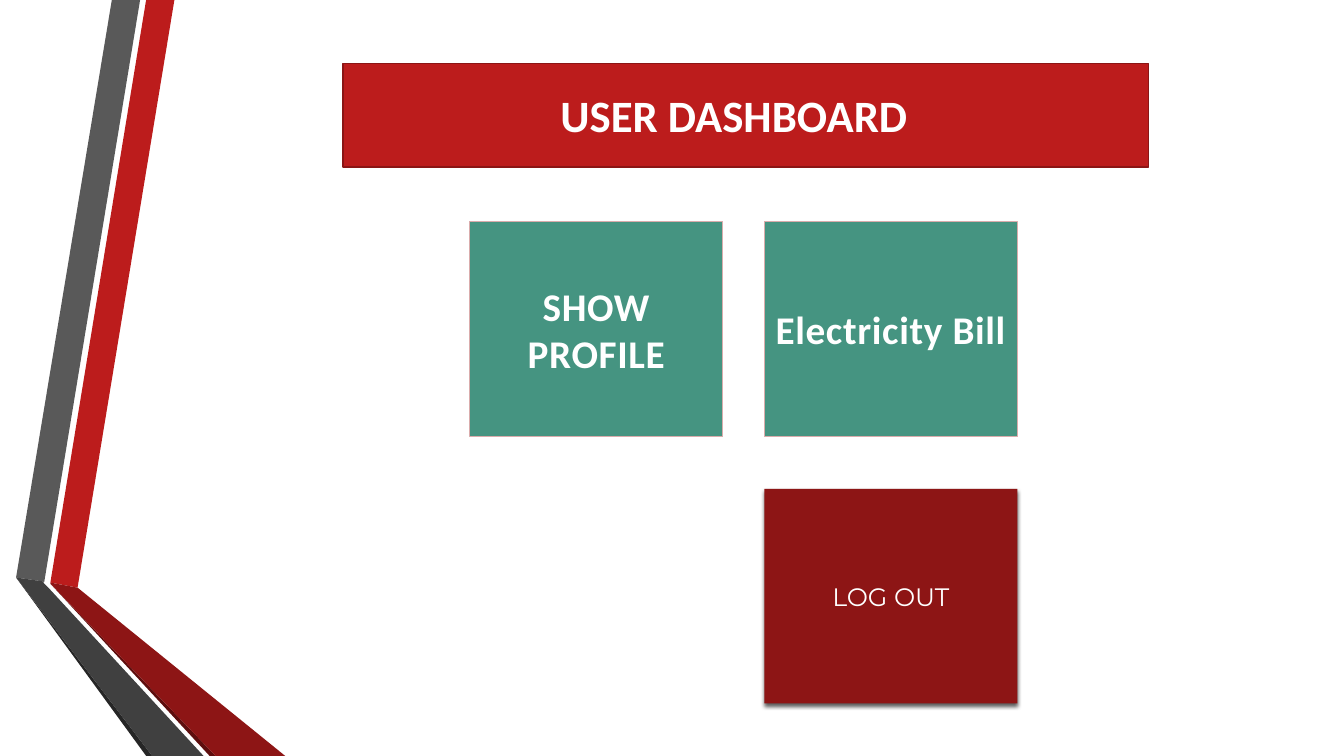
from dataclasses import dataclass

from lxml import etree
from pptx import Presentation
from pptx import util as u
from pptx.dml.color import RGBColor
from pptx.enum import shapes, text
from pptx.oxml import ns


@dataclass(frozen=True)
class Theme:
    red: str = "BC1C1C"
    dark_red: str = "8D1515"
    deep_red: str = "5E0E0E"
    banner_line: str = "8B1515"
    gray: str = "595959"
    dark_gray: str = "404040"
    deep_gray: str = "262626"
    green: str = "459481"
    tile_line: str = "DAACAC"
    white: str = "FFFFFF"
    black: str = "000000"
    heading_font: str = "Calibri"
    button_font: str = "Montserrat"
    title_size: int = 32
    tile_size: int = 28
    button_size: int = 18


THEME = Theme()


def paint(shape, fill, line=None, line_width=0.75):
    shape.shadow.inherit = False
    shape.fill.solid()
    shape.fill.fore_color.rgb = RGBColor.from_string(fill)
    if line:
        shape.line.color.rgb = RGBColor.from_string(line)
        shape.line.width = u.Pt(line_width)
    else:
        shape.line.fill.background()


def add_block(page, box, fill, line=None, line_width=0.75):
    block = page.shapes.add_shape(
        shapes.MSO_SHAPE.RECTANGLE, *(u.Inches(length) for length in box)
    )
    paint(block, fill, line, line_width)
    return block


def write(frame, words, font, size, bold, align, spacing=0):
    frame.word_wrap = True
    frame.vertical_anchor = text.MSO_ANCHOR.MIDDLE
    para = frame.paragraphs[0]
    para.alignment = align
    span = para.add_run()
    span.text = words
    span.font.name = font
    span.font.size = u.Pt(size)
    span.font.bold = bold
    span.font.color.rgb = RGBColor.from_string(THEME.white)
    if spacing:
        span.font._element.set("spc", str(int(spacing * 100)))


def drop_shadow(shape):
    effects = shape._element.spPr.find(ns.qn("a:effectLst"))
    shadow = etree.SubElement(
        effects, ns.qn("a:outerShdw"),
        blurRad=str(u.Pt(3)), dist=str(u.Pt(2)), dir="5400000",
        algn="ctr", rotWithShape="0",
    )
    color = etree.SubElement(shadow, ns.qn("a:srgbClr"), val=THEME.black)
    etree.SubElement(color, ns.qn("a:alpha"), val="64000")


def add_ribbons(page, box):
    left, top, width, height = box
    ribbons = [
        (THEME.red, [(0.5, 5.78), (0.77, 5.83), (1.73, 0), (1.45, 0)]),
        (THEME.gray, [(1.39, 0), (1.11, 0), (0.16, 5.73), (0.44, 5.77)]),
        (THEME.deep_gray, [(0.16, 5.73), (1.45, height), (1.51, height)]),
        (THEME.deep_red, [(0.5, 5.79), (2.08, height), (2.14, height)]),
        (THEME.dark_red, [(0.5, 5.79), (2.14, height), (width, height),
                          (0.77, 5.83), (0.5, 5.78)]),
        (THEME.dark_gray, [(2.02, height), (0.48, 5.83), (0.43, 5.78),
                           (0.44, 5.77), (0.16, 5.73), (1.51, height)]),
    ]
    for fill, outline in ribbons:
        points = [(u.Inches(left + x), u.Inches(top + y)) for x, y in outline]
        builder = page.shapes.build_freeform(*points[0])
        builder.add_line_segments(points[1:], close=True)
        paint(builder.convert_to_shape(), fill)


def add_banner(page, box):
    left, top, width, height = box
    add_block(page, box, THEME.red, THEME.banner_line, 1.25)
    title = page.shapes.add_textbox(
        u.Inches(left + 2.06), u.Inches(top + 0.19), u.Inches(4.07), u.Inches(0.64)
    )
    write(title.text_frame, "USER DASHBOARD", THEME.heading_font,
          THEME.title_size, True, text.PP_ALIGN.LEFT)


def add_tiles(page, box):
    left, top, width, height = box
    tile_width, tile_height = 2.51, 2.13
    right = left + width - tile_width
    bottom = top + height - tile_height
    for x, words in [(left, "SHOW PROFILE"), (right, "Electricity Bill")]:
        tile = add_block(page, (x, top, tile_width, tile_height),
                         THEME.green, THEME.tile_line)
        write(tile.text_frame, words, THEME.heading_font, THEME.tile_size,
              True, text.PP_ALIGN.CENTER, 0.5)
    button = add_block(page, (right, bottom, tile_width, tile_height), THEME.dark_red)
    drop_shadow(button)
    write(button.text_frame, "LOG OUT", THEME.button_font, THEME.button_size,
          False, text.PP_ALIGN.CENTER)


def main():
    deck = Presentation()
    deck.slide_width = u.Inches(13.33)
    deck.slide_height = u.Inches(7.5)
    page = deck.slides.add_slide(deck.slide_layouts[6])
    add_ribbons(page, (0, 0, 2.83, 7.5))
    add_banner(page, (3.4, 0.63, 7.99, 1.03))
    add_tiles(page, (4.66, 2.2, 5.43, 4.78))
    deck.save("out.pptx")


if __name__ == "__main__":
    main()
